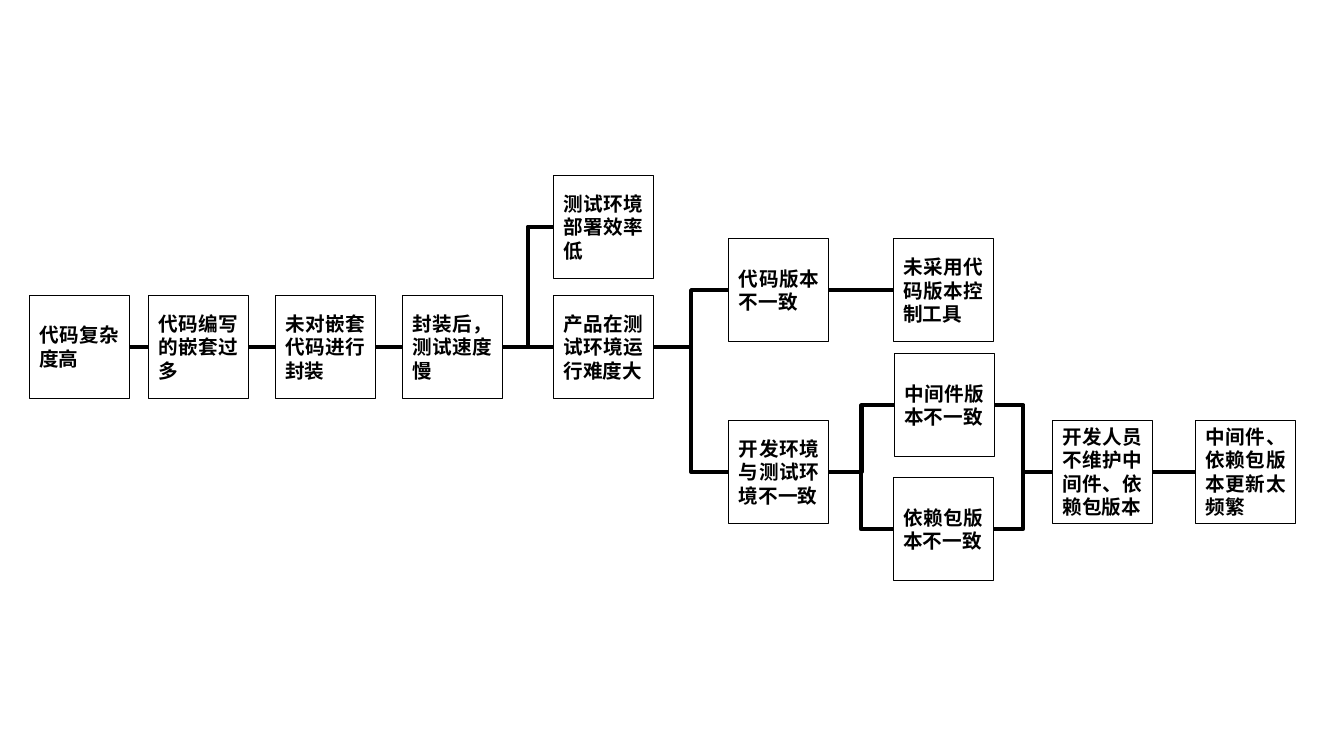
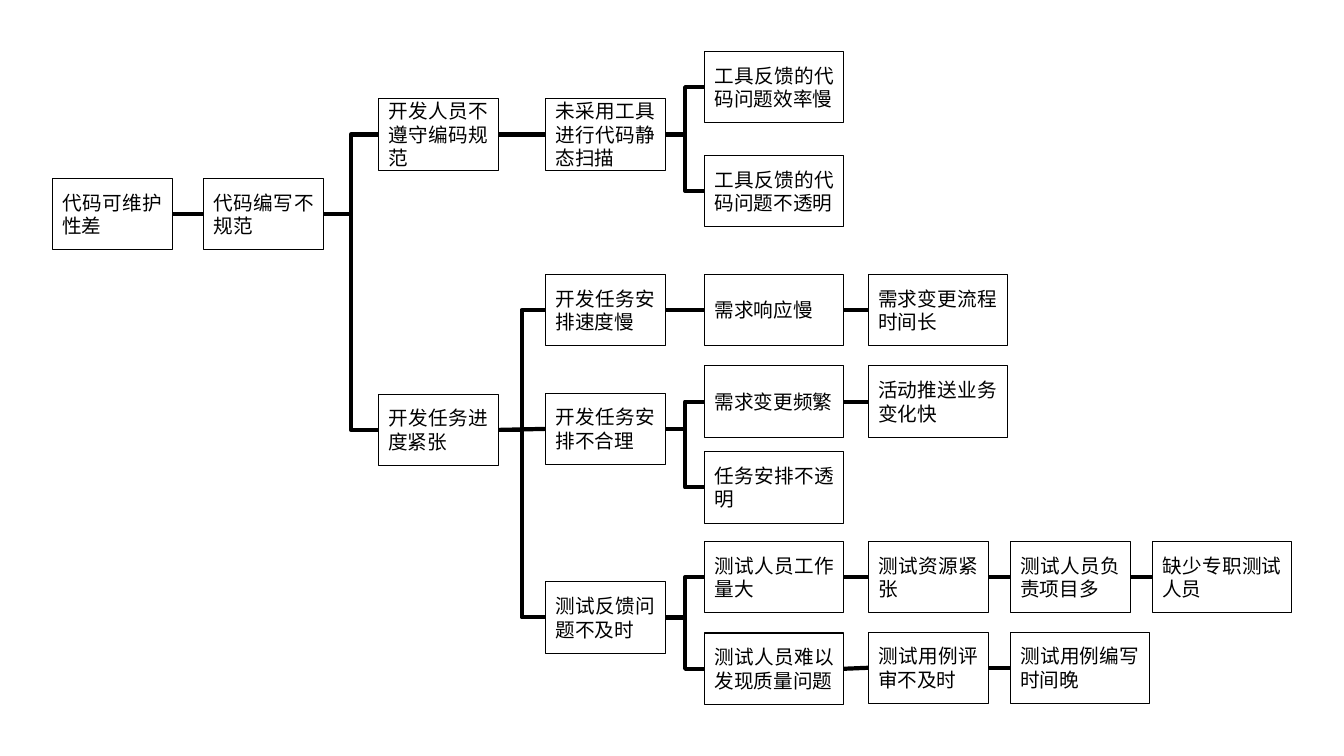
from lxml import etree
from pptx import Presentation
from pptx import util as u
from pptx.dml.color import RGBColor
from pptx.enum import shapes, text
from pptx.oxml.ns import qn

PX = 9144
COLORS = {"ink": "000000"}
INK = RGBColor.from_string(COLORS["ink"])
FONT = "Noto Sans CJK SC"
LEFT, RIGHT = 1, 3


def add_box(slide, label, left, top, width, height, bold):
    box = slide.shapes.add_shape(
        shapes.MSO_SHAPE.RECTANGLE, left * PX, top * PX, width * PX, height * PX)
    box.shadow.inherit = False
    box.fill.background()
    box.line.color.rgb = INK
    box.line.width = u.Pt(0.75)
    frame = box.text_frame
    frame.word_wrap = True
    frame.vertical_anchor = text.MSO_ANCHOR.MIDDLE
    paragraph = frame.paragraphs[0]
    paragraph.text = label
    paragraph.alignment = text.PP_ALIGN.JUSTIFY
    font = paragraph.font
    font.size = u.Pt(14)
    font.bold = bold
    font.name = FONT
    font.color.rgb = INK
    defaults = paragraph._p.find(".//" + qn("a:defRPr"))
    etree.SubElement(defaults, qn("a:ea"), typeface=FONT)
    return box


def join(slide, source, target):
    start_x, start_y = source.left + source.width, source.top + source.height // 2
    end_x, end_y = target.left, target.top + target.height // 2
    level = abs(end_y - start_y) <= PX
    kind = shapes.MSO_CONNECTOR.STRAIGHT if level else shapes.MSO_CONNECTOR.ELBOW
    connector = slide.shapes.add_connector(kind, start_x, start_y, end_x, end_y)
    connector.begin_connect(source, RIGHT)
    connector.end_connect(target, LEFT)
    connector.line.color.rgb = INK
    connector.line.width = u.Pt(3)
    etree.SubElement(connector._element.spPr, qn("a:effectLst"))


complexity_boxes = [
    ("代码复杂度高", 29, 293, 99, []),
    ("代码编写的嵌套过多", 147, 293, 99, ["代码复杂度高"]),
    ("未对嵌套代码进行封装", 273, 293, 99, ["代码编写的嵌套过多"]),
    ("封装后，测试速度慢", 399, 293, 99, ["未对嵌套代码进行封装"]),
    ("测试环境部署效率低", 549, 174, 99, ["封装后，测试速度慢"]),
    ("产品在测试环境运行难度大", 549, 293, 99, ["封装后，测试速度慢"]),
    ("代码版本不一致", 723, 237, 99, ["产品在测试环境运行难度大"]),
    ("未采用代码版本控制工具", 886, 237, 99, ["代码版本不一致"]),
    ("开发环境与测试环境不一致", 723, 417, 99, ["产品在测试环境运行难度大"]),
    ("中间件版本不一致", 887, 351, 99, ["开发环境与测试环境不一致"]),
    ("依赖包版本不一致", 886, 474, 99, ["开发环境与测试环境不一致"]),
    ("开发人员不维护中间件、依赖包版本", 1044, 417, 99,
     ["中间件版本不一致", "依赖包版本不一致"]),
    ("中间件、依赖包版本更新太频繁", 1186, 417, 99,
     ["开发人员不维护中间件、依赖包版本"]),
]

maintenance_boxes = [
    ("代码可维护性差", 52, 177, 119, []),
    ("代码编写不规范", 202, 177, 119, ["代码可维护性差"]),
    ("开发人员不遵守编码规范", 375, 98, 119, ["代码编写不规范"]),
    ("未采用工具进行代码静态扫描", 541, 98, 119, ["开发人员不遵守编码规范"]),
    ("工具反馈的代码问题效率慢", 699, 51, 138, ["未采用工具进行代码静态扫描"]),
    ("工具反馈的代码问题不透明", 699, 154, 138, ["未采用工具进行代码静态扫描"]),
    ("开发任务进度紧张", 375, 391, 119, ["代码编写不规范"]),
    ("开发任务安排速度慢", 541, 272, 119, ["开发任务进度紧张"]),
    ("需求响应慢", 699, 272, 138, ["开发任务安排速度慢"]),
    ("需求变更流程时间长", 861, 272, 138, ["需求响应慢"]),
    ("开发任务安排不合理", 541, 390, 119, ["开发任务进度紧张"]),
    ("需求变更频繁", 699, 363, 138, ["开发任务安排不合理"]),
    ("活动推送业务变化快", 861, 363, 138, ["需求变更频繁"]),
    ("任务安排不透明", 699, 448, 138, ["开发任务安排不合理"]),
    ("测试反馈问题不及时", 541, 577, 119, ["开发任务进度紧张"]),
    ("测试人员工作量大", 699, 537, 138, ["测试反馈问题不及时"]),
    ("测试资源紧张", 861, 537, 119, ["测试人员工作量大"]),
    ("测试人员负责项目多", 1002, 537, 119, ["测试资源紧张"]),
    ("缺少专职测试人员", 1143, 537, 138, ["测试人员负责项目多"]),
    ("测试人员难以发现质量问题", 699, 628, 138, ["测试反馈问题不及时"]),
    ("测试用例评审不及时", 861, 627, 119, ["测试人员难以发现质量问题"]),
    ("测试用例编写时间晚", 1002, 627, 138, ["测试用例评审不及时"]),
]

presentation = Presentation()
presentation.slide_width = 1333 * PX
presentation.slide_height = 750 * PX

for rows, height, bold in [(complexity_boxes, 102, True), (maintenance_boxes, 71, False)]:
    slide = presentation.slides.add_slide(presentation.slide_layouts[6])
    boxes = {}
    for label, left, top, width, sources in rows:
        boxes[label] = add_box(slide, label, left, top, width, height, bold)
    for label, left, top, width, sources in rows:
        for source in sources:
            join(slide, boxes[source], boxes[label])

presentation.save("out.pptx")
